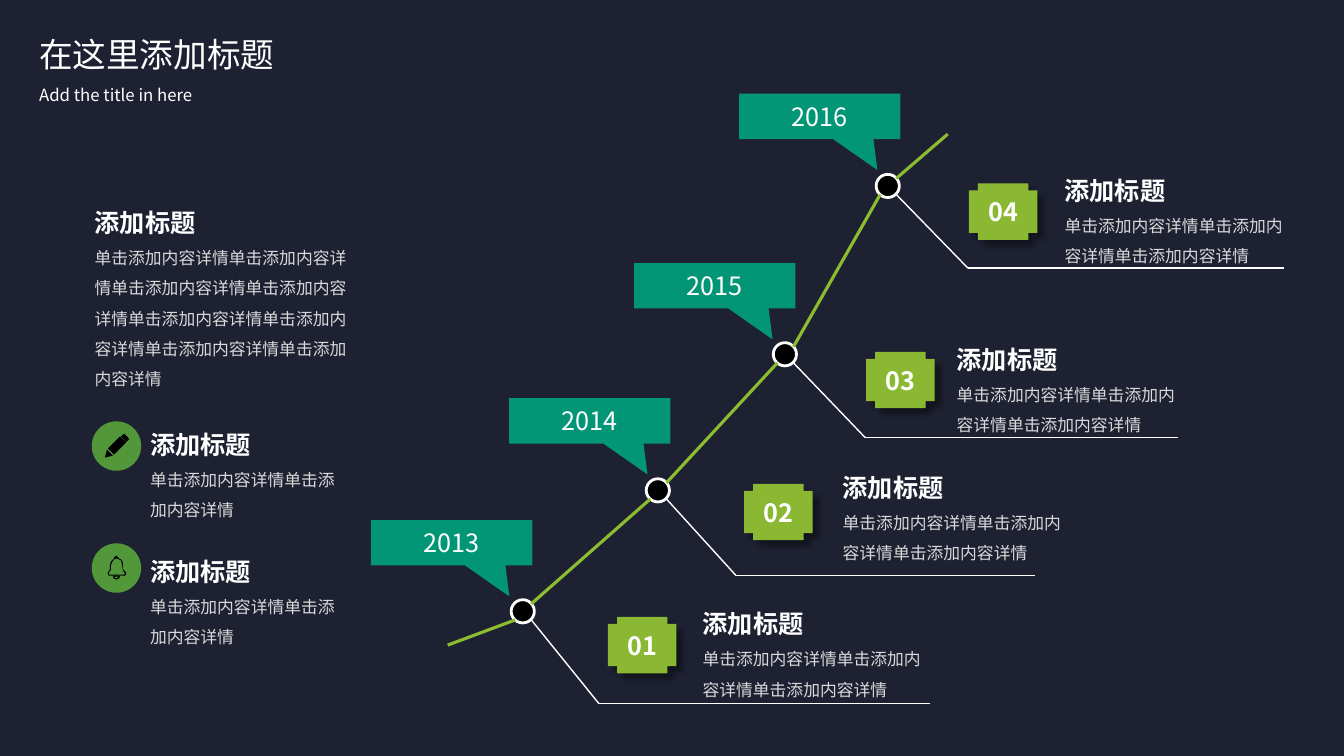
from lxml import etree
from pptx import Presentation
from pptx import util as u
from pptx.dml.color import RGBColor
from pptx.enum import shapes, text
from pptx.oxml.ns import qn

FONT = "Noto Sans CJK SC"
COLORS = {
    "navy": "1E2132", "white": "FFFFFF", "grey": "D9D9D9", "black": "000000",
    "green": "52983A", "lime": "8AB832", "rail": "8CBC2F", "teal": "029676",
}
HEADING = "添加标题"
PHRASE = "单击添加内容详情"

# year, number, dot, callout, badge, text block, branch elbow, branch end x
STAGES = [
    ("2013", "01", (5.07, 5.95), (3.68, 5.16), (6.03, 6.12), (6.87, 5.84), (5.94, 6.98), 9.22),
    ("2014", "02", (6.41, 4.75), (5.05, 3.95), (7.38, 4.8), (8.26, 4.49), (7.3, 5.71), 10.27),
    ("2015", "03", (7.67, 3.4), (6.29, 2.61), (8.59, 3.49), (9.39, 3.22), (8.58, 4.34), 11.68),
    ("2016", "04", (8.69, 1.73), (7.33, 0.93), (9.61, 1.82), (10.46, 1.54), (9.6, 2.66), 12.73),
]
RAIL_START, RAIL_END = (4.44, 6.4), (9.4, 1.33)
DOT = 0.23
NEAR, FAR = 0.04, 0.2  # where lines meet a dot, from its top left corner

# left, top, width, body height, number of phrases
SIDE_TEXTS = [(0.84, 1.86, 2.83, 1.62, 8), (1.39, 4.06, 2.04, 0.71, 2),
              (1.39, 5.32, 2.04, 0.71, 2)]
ICON_DISCS = [(0.91, 4.18), (0.91, 5.39)]

# each part is a list of closed outlines
PENCIL = [
    [[(1.07, 4.45), (1.19, 4.33), (1.25, 4.39), (1.13, 4.51)]],
    [[(1.2, 4.33), (1.22, 4.31), (1.23, 4.305), (1.24, 4.31), (1.27, 4.34),
      (1.28, 4.355), (1.27, 4.37), (1.25, 4.385)]],
    [[(1.06, 4.46), (1.12, 4.52), (1.04, 4.54)]],
]
BELL = [
    [[(1.22, 5.64), (1.23, 5.66), (1.25, 5.68), (1.25, 5.7), (1.24, 5.71), (1.08, 5.71),
      (1.07, 5.7), (1.07, 5.68), (1.09, 5.65), (1.09, 5.61), (1.1, 5.57), (1.13, 5.54),
      (1.14, 5.52), (1.16, 5.515), (1.18, 5.54), (1.2, 5.55), (1.22, 5.58)],
     [(1.21, 5.6), (1.2, 5.56), (1.16, 5.54), (1.13, 5.55), (1.11, 5.58), (1.1, 5.61),
      (1.1, 5.65), (1.08, 5.68), (1.08, 5.7), (1.23, 5.7), (1.24, 5.69), (1.22, 5.66)]],
    [[(1.13, 5.71), (1.18, 5.71), (1.19, 5.72), (1.18, 5.74), (1.155, 5.75),
      (1.13, 5.74), (1.12, 5.72)],
     [(1.13, 5.72), (1.145, 5.735), (1.165, 5.735), (1.18, 5.72)]],
]


def shift(point, dx, dy):
    return point[0] + dx, point[1] + dy


def write(tf, content, size=12, color="white", bold=False, align=None, spacing=None):
    p = tf.paragraphs[0]
    p.alignment = align
    p.line_spacing = spacing
    r = p.add_run()
    r.text = content
    r.font.size = u.Pt(size)
    r.font.bold = bold
    r.font.name = FONT
    r.font.color.rgb = RGBColor.from_string(COLORS[color])
    etree.SubElement(r.font._element, qn("a:ea"), typeface=FONT)


class Deck:
    """Holds the style and the current slide."""

    def __init__(self):
        self.prs = Presentation()
        self.prs.slide_width, self.prs.slide_height = u.Inches(13.33), u.Inches(7.5)
        self.s = self.prs.slides.add_slide(self.prs.slide_layouts[6])
        self.paint(self.s.background.fill, "navy")

    def paint(self, fill, color):
        fill.solid()
        fill.fore_color.rgb = RGBColor.from_string(COLORS[color])

    def finish(self, sp, fill, outline=None):
        sp.shadow.inherit = False
        self.paint(sp.fill, fill)
        if outline:
            self.paint(sp.line.fill, outline)
            sp.line.width = u.Pt(2)
        else:
            sp.line.fill.background()
        return sp

    def label(self, sp, content, bold=False):
        sp.text_frame.vertical_anchor = text.MSO_ANCHOR.MIDDLE
        write(sp.text_frame, content, size=18, bold=bold, align=text.PP_ALIGN.CENTER)

    def text(self, x, y, w, h, content, **style):
        tf = self.s.shapes.add_textbox(*map(u.Inches, (x, y, w, h))).text_frame
        tf.word_wrap = True
        tf.auto_size = text.MSO_AUTO_SIZE.SHAPE_TO_FIT_TEXT
        write(tf, content, **style)

    def block(self, x, y, w, h, phrases):
        """Bold heading with grey body text under it."""
        self.text(x, y, 1.22, 0.56, HEADING, size=18, bold=True, spacing=1.5)
        self.text(x, y + 0.45, w, h, PHRASE * phrases, color="grey", spacing=1.5)

    def shape(self, kind, x, y, w, h, fill, outline=None):
        sp = self.s.shapes.add_shape(kind, *map(u.Inches, (x, y, w, h)))
        return self.finish(sp, fill, outline)

    def outline(self, contours, fill):
        fb = None
        for contour in contours:
            pts = [(u.Inches(x), u.Inches(y)) for x, y in contour]
            if fb is None:
                fb = self.s.shapes.build_freeform(*pts[0])
            else:
                fb.move_to(*pts[0])
            fb.add_line_segments(pts[1:], close=True)
        return self.finish(fb.convert_to_shape(), fill)

    def line(self, start, end, color, width):
        c = self.s.shapes.add_connector(shapes.MSO_CONNECTOR.STRAIGHT,
                                        *map(u.Inches, (*start, *end)))
        self.paint(c.line.fill, color)
        c.line.width = u.Pt(width)
        etree.SubElement(c._element.spPr, qn("a:effectLst"))

    def badge(self, x, y, number):
        """Notched plate with a soft shadow."""
        w, h, dx, dy = 0.68, 0.56, 0.09, 0.07
        corners = [(0, h - dy), (0, dy), (dx, dy), (dx, 0), (w - dx, 0), (w - dx, dy),
                   (w, dy), (w, h - dy), (w - dx, h - dy), (w - dx, h), (dx, h), (dx, h - dy)]
        sp = self.outline([[shift((x, y), *c) for c in corners]], "lime")
        effects = sp._element.spPr.find(qn("a:effectLst"))
        shadow = etree.SubElement(effects, qn("a:outerShdw"), blurRad=str(u.Pt(4)),
                                  dist=str(u.Pt(6)), dir=str(45 * 60000),
                                  algn="tl", rotWithShape="0")
        clr = etree.SubElement(shadow, qn("a:srgbClr"), val=COLORS["black"])
        etree.SubElement(clr, qn("a:alpha"), val="40000")
        self.label(sp, number, bold=True)

    def callout(self, x, y, year):
        sp = self.shape(shapes.MSO_SHAPE.RECTANGULAR_CALLOUT, x, y, 1.6, 0.45, "teal")
        sp.adjustments[0], sp.adjustments[1] = 0.358, 1.183
        self.label(sp, year)


def main():
    deck = Deck()
    oval = shapes.MSO_SHAPE.OVAL
    deck.text(0.29, 0.29, 3.46, 0.5, "在这里添加标题", size=24)
    deck.text(0.29, 0.79, 3.46, 0.3, "Add the title in here")

    for side in SIDE_TEXTS:
        deck.block(*side)
    for disc, icon in zip(ICON_DISCS, (PENCIL, BELL)):
        deck.shape(oval, *disc, 0.49, 0.49, "green")
        for part in icon:
            deck.outline(part, "black")

    dots = [stage[2] for stage in STAGES]
    for dot in dots:
        deck.shape(oval, *dot, DOT, DOT, "black", outline="white")
    starts = [RAIL_START] + [shift(d, FAR, NEAR) for d in dots]
    ends = [shift(d, NEAR, FAR) for d in dots] + [RAIL_END]
    for start, end in zip(starts, ends):
        deck.line(start, end, "rail", 2.25)

    for year, number, dot, callout, badge, block, elbow, end_x in STAGES:
        deck.badge(*badge, number)
        deck.block(*block, 2.46, 0.67, 3)
        deck.line(shift(dot, FAR, FAR), elbow, "white", 1)
        deck.line(elbow, (end_x, elbow[1]), "white", 1)
        deck.callout(*callout, year)

    deck.prs.save("out.pptx")


if __name__ == "__main__":
    main()
